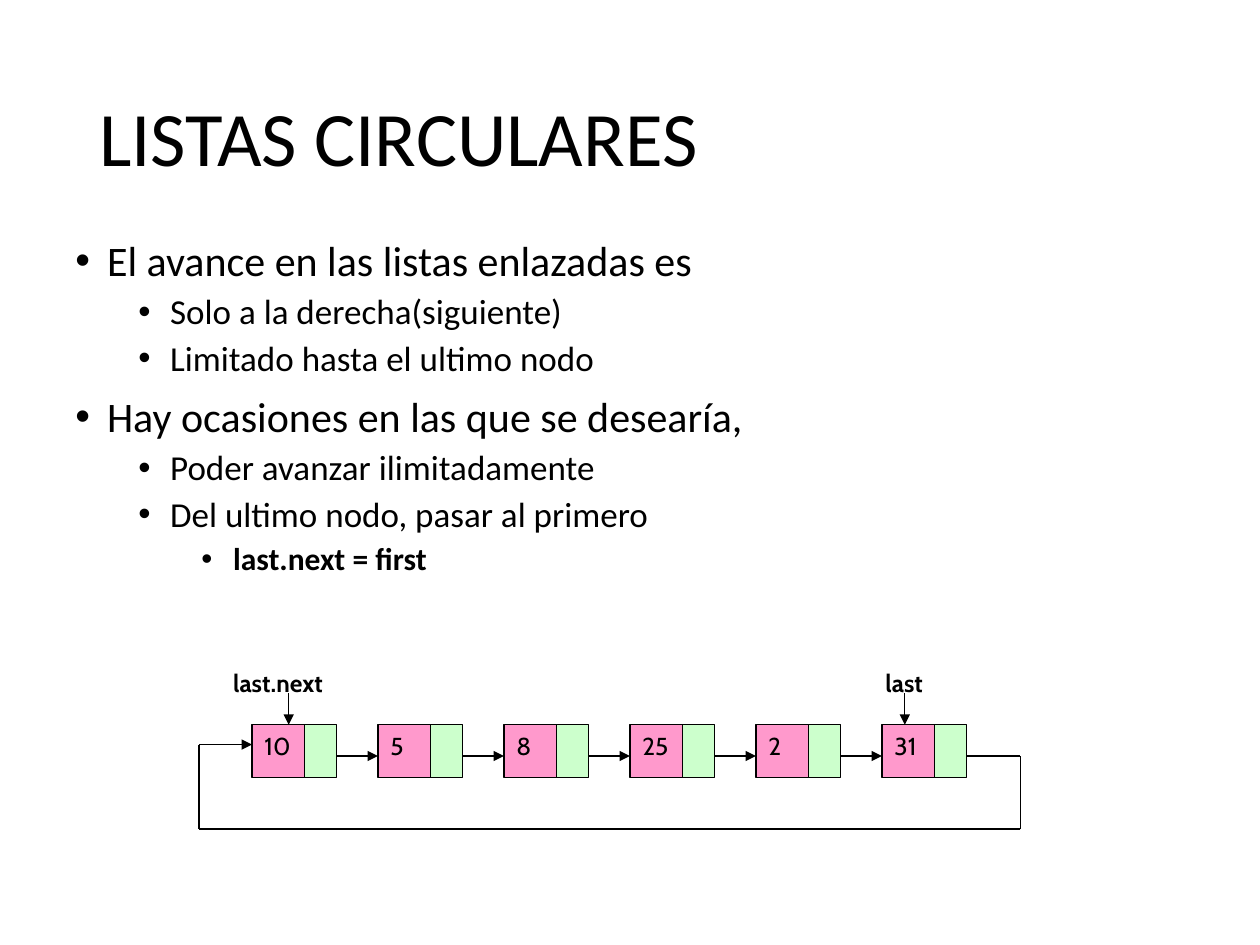
"""Build a slide on circular linked lists with a node diagram."""
from itertools import pairwise
from typing import NamedTuple

from lxml.etree import SubElement
from pptx import Presentation
from pptx.dml.color import RGBColor
from pptx.enum.shapes import MSO_CONNECTOR as Connector, MSO_SHAPE as Shape
from pptx.enum.text import MSO_ANCHOR as Anchor
from pptx.oxml.ns import qn
from pptx.shapes.shapetree import SlideShapes
from pptx.text.text import TextFrame, _Paragraph as Paragraph
from pptx.util import Cm, Pt

BLACK = RGBColor(0x00, 0x00, 0x00)
PINK = RGBColor(0xFF, 0x99, 0xCC)
GREEN = RGBColor(0xCC, 0xFF, 0xCC)
BODY_FONT = "Calibri"
DIAGRAM_FONT = "Cabin"

INDENT = 0.64
NODE_LEFT, NODE_TOP, NODE_PITCH = 5.08, 14.61, 2.54
DATA_WIDTH, NEXT_WIDTH, NODE_HEIGHT = 1.06, 0.64, 1.06
LINK_Y = 15.24
LABEL_TOP, POINTER_TOP = 13.34, 13.97
TEXT_HEIGHT = 0.86
LOOP_LEFT, LOOP_RIGHT, LOOP_BOTTOM, LOOP_ENTRY_Y = 4.01, 20.57, 16.71, 15.01


class Box(NamedTuple):
    left: float
    top: float
    width: float
    height: float


class Level(NamedTuple):
    margin: float
    size: int
    space_before: int
    bold: bool


class Bullet(NamedTuple):
    text: str
    level: int


class Pointer(NamedTuple):
    text: str
    left: float
    width: float
    arrow_x: float


LEVELS = [
    Level(0.64, 24, 10, False),
    Level(1.91, 20, 5, False),
    Level(3.18, 18, 5, True),
]
BULLETS = [
    Bullet("El avance en las listas enlazadas es", 0),
    Bullet("Solo a la derecha(siguiente)", 1),
    Bullet("Limitado hasta el ultimo nodo", 1),
    Bullet("Hay ocasiones en las que se desearía,", 0),
    Bullet("Poder avanzar ilimitadamente", 1),
    Bullet("Del ultimo nodo, pasar al primero", 1),
    Bullet("last.next = first", 2),
]
VALUES = ["10", "5", "8", "25", "2", "31"]
POINTERS = [
    Pointer("last.next", 4.45, 3.2, 5.82),
    Pointer("last", 17.6, 1.47, 18.24),
]


def add_frame(shapes: SlideShapes, box: Box) -> TextFrame:
    """Add a wrapping text box and return its text frame."""
    frame = shapes.add_textbox(*map(Cm, box)).text_frame
    frame.word_wrap = True
    return frame


def set_text(paragraph: Paragraph, text: str, name: str, size: int,
             bold: bool = False) -> None:
    """Fill a paragraph and set its font."""
    paragraph.text = text
    font = paragraph.font
    font.name, font.size, font.bold = name, Pt(size), bold
    font.color.rgb = BLACK


def add_bullet(paragraph: Paragraph, bullet: Bullet) -> None:
    """Write one bulleted paragraph at its outline level."""
    level = LEVELS[bullet.level]
    set_text(paragraph, bullet.text, BODY_FONT, level.size, level.bold)
    paragraph.level = bullet.level
    paragraph.line_spacing = 0.9
    paragraph.space_before = Pt(level.space_before)
    properties = paragraph._p.get_or_add_pPr()
    properties.set("marL", str(Cm(level.margin)))
    properties.set("indent", str(-Cm(INDENT)))
    SubElement(properties, qn("a:buFont"), typeface="Arial")
    SubElement(properties, qn("a:buChar"), char="•")


def add_line(shapes: SlideShapes, start: tuple[float, float],
             end: tuple[float, float], arrow: bool = False) -> None:
    """Draw a thin black line, with an arrowhead at its end if asked."""
    connector = shapes.add_connector(
        Connector.STRAIGHT, *map(Cm, (*start, *end)))
    connector.line.color.rgb = BLACK
    connector.line.width = Pt(0.75)
    if arrow:
        SubElement(connector.line._get_or_add_ln(), qn("a:tailEnd"),
                   type="triangle")
    SubElement(connector._element.spPr, qn("a:effectLst"))


def add_cell(shapes: SlideShapes, box: Box, fill: RGBColor) -> None:
    """Draw one outlined field of a node."""
    shape = shapes.add_shape(Shape.RECTANGLE, *map(Cm, box))
    shape.shadow.inherit = False
    shape.fill.solid()
    shape.fill.fore_color.rgb = fill
    shape.line.color.rgb = BLACK
    shape.line.width = Pt(0.75)


def add_label(shapes: SlideShapes, box: Box, text: str,
              bold: bool = False) -> None:
    """Write a short diagram text."""
    paragraph = add_frame(shapes, box).paragraphs[0]
    set_text(paragraph, text, DIAGRAM_FONT, 14, bold)
    paragraph.space_before = Pt(8.8)


def add_node(shapes: SlideShapes, left: float, value: str) -> None:
    """Draw a list node with its data and next fields."""
    add_cell(shapes, Box(left, NODE_TOP, DATA_WIDTH, NODE_HEIGHT), PINK)
    add_cell(shapes, Box(left + DATA_WIDTH, NODE_TOP, NEXT_WIDTH, NODE_HEIGHT),
             GREEN)
    add_label(shapes, Box(left, NODE_TOP, 1.27, TEXT_HEIGHT), value)


def add_pointer(shapes: SlideShapes, pointer: Pointer) -> None:
    """Draw a named pointer above its node."""
    add_line(shapes, (pointer.arrow_x, POINTER_TOP),
             (pointer.arrow_x, NODE_TOP), arrow=True)
    add_label(shapes, Box(pointer.left, LABEL_TOP, pointer.width, TEXT_HEIGHT),
              pointer.text, bold=True)


def add_list_diagram(shapes: SlideShapes) -> None:
    """Draw the nodes, their links, the closing loop and the pointers."""
    lefts = [NODE_LEFT + NODE_PITCH * index for index in range(len(VALUES))]
    node_width = DATA_WIDTH + NEXT_WIDTH
    for left, following in pairwise(lefts):
        add_line(shapes, (left + node_width, LINK_Y), (following, LINK_Y),
                 arrow=True)
    for left, value in zip(lefts, VALUES):
        add_node(shapes, left, value)
    loop = [
        (lefts[-1] + node_width, LINK_Y),
        (LOOP_RIGHT, LINK_Y),
        (LOOP_RIGHT, LOOP_BOTTOM),
        (LOOP_LEFT, LOOP_BOTTOM),
        (LOOP_LEFT, LOOP_ENTRY_Y),
        (NODE_LEFT, LOOP_ENTRY_Y),
    ]
    for start, end in pairwise(loop):
        add_line(shapes, start, end, arrow=end == loop[-1])
    for pointer in POINTERS:
        add_pointer(shapes, pointer)


def main() -> None:
    """Build and save the presentation."""
    presentation = Presentation()
    presentation.slide_width, presentation.slide_height = Cm(25.4), Cm(19.05)
    slide = presentation.slides.add_slide(presentation.slide_layouts[6])
    shapes = slide.shapes

    title = add_frame(shapes, Box(1.75, 1.02, 21.92, 3.68))
    title.vertical_anchor = Anchor.MIDDLE
    set_text(title.paragraphs[0], "LISTAS CIRCULARES", BODY_FONT, 44)
    title.paragraphs[0].line_spacing = 0.9

    body = add_frame(shapes, Box(1.27, 4.72, 22.86, 12.57))
    for index, bullet in enumerate(BULLETS):
        add_bullet(body.add_paragraph() if index else body.paragraphs[0], bullet)

    add_list_diagram(shapes)
    presentation.save("out.pptx")


if __name__ == "__main__":
    main()
